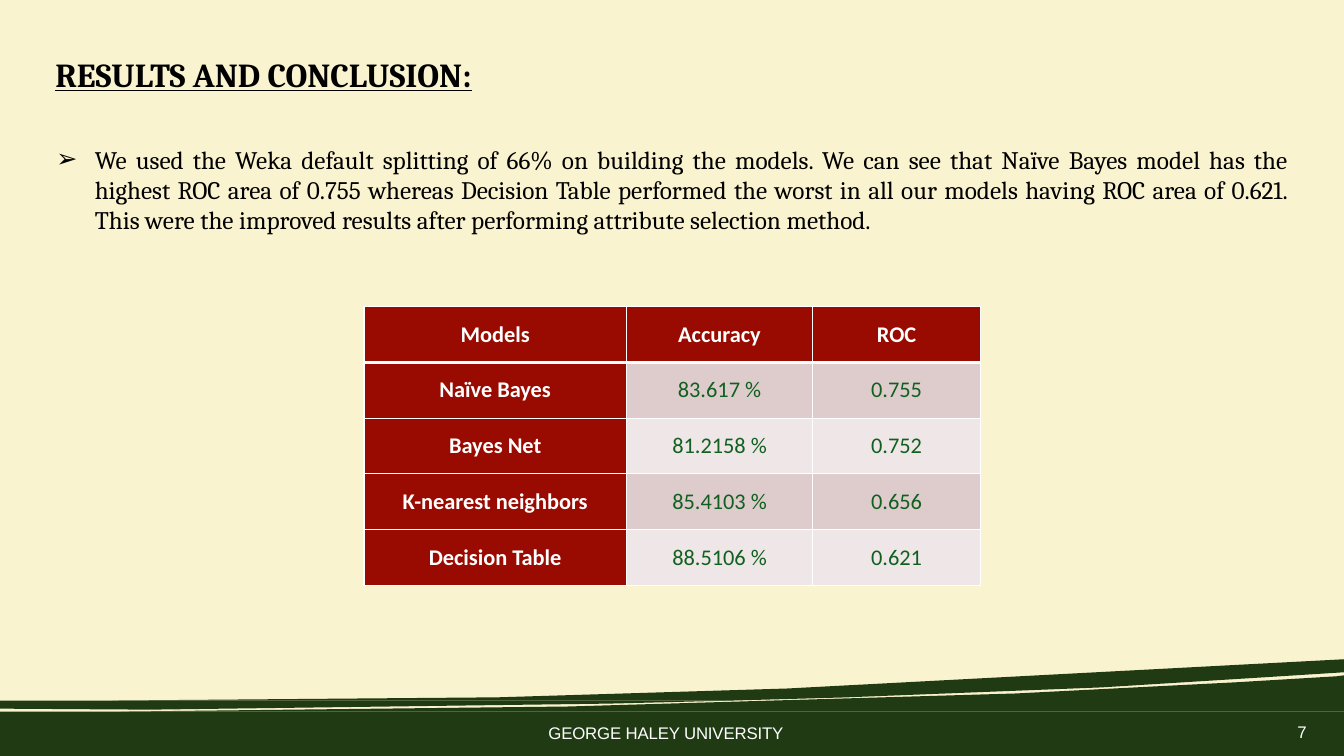
from dataclasses import dataclass, field

from lxml import etree
from pptx import Presentation
from pptx import util as u
from pptx.dml.color import RGBColor
from pptx.enum import text
from pptx.oxml import ns

CREAM = RGBColor(0xFA, 0xF3, 0xCF)
FOREST = RGBColor(0x20, 0x3B, 0x13)
GREEN = RGBColor(0x11, 0x60, 0x20)
RED = RGBColor(0x99, 0x0B, 0x01)
ROSE = RGBColor(0xDE, 0xCC, 0xCC)
PALE_ROSE = RGBColor(0xEF, 0xE7, 0xE7)
BLACK = RGBColor(0, 0, 0)
WHITE = RGBColor(0xFF, 0xFF, 0xFF)

PAGE_WIDTH, PAGE_HEIGHT = 960, 540
CENTER, JUSTIFY = text.PP_ALIGN.CENTER, text.PP_ALIGN.JUSTIFY


@dataclass
class TextItem:
    words: str
    left: float
    top: float
    width: float
    height: float
    font: dict
    para: dict = field(default_factory=dict)
    frame: dict = field(default_factory=dict)
    bullet: str = ""
    spacing: int = 0  # letter spacing, hundredths of a point


# Wave outlines at the foot of the page
WAVES = [
    [(0, 508.3), (0, 540), (960, 540), (960, 508.3), (86.4, 508.3)],
    [(960, 482.4), (954.7, 483.1), (882.7, 487.4), (725, 495.4),
     (405.4, 504.7), (86.4, 508.3), (960, 508.3)],
    [(0, 500.4), (0, 506.2), (107.3, 506.9), (434.9, 502.6),
     (522.7, 500.4), (79.9, 500.4)],
    [(960, 470.9), (562.3, 491.8), (352.1, 498.2), (343.4, 498.2),
     (79.9, 500.4), (522.7, 500.4), (602.6, 498.2), (787, 491),
     (902.9, 483.8), (960, 480.2)],
]

FOOTER_FONT = {"name": "Arial", "size": u.Pt(12)}
FOOTER_PARA = {"line_spacing": u.Pt(13)}

TEXTS = [
    TextItem("GEORGE HALEY UNIVERSITY", 391, 517.7, 177.8, 13,
             FOOTER_FONT | {"color": WHITE}, FOOTER_PARA,
             {"margin_left": u.Pt(0.7)}, spacing=-10),
    TextItem("RESULTS AND CONCLUSION:", 39.6, 38.2, 719.3, 52.6,
             {"name": "Cambria", "size": u.Pt(24), "bold": True,
              "underline": True, "color": BLACK}),
    TextItem("We used the Weka default splitting of 66% on building the models. "
             "We can see that Naïve Bayes model has the highest ROC area of 0.755 "
             "whereas Decision Table performed the worst in all our models having "
             "ROC area of 0.621. This were the improved results after performing "
             "attribute selection method.", 40.3, 58.3, 879.8, 443.5,
             {"name": "Cambria", "size": u.Pt(18), "color": BLACK},
             {"alignment": JUSTIFY}, {"margin_top": u.Pt(44.5)}, bullet="➢"),
    TextItem("7", 924.5, 517, 23, 13,
             FOOTER_FONT | {"color": WHITE}, FOOTER_PARA,
             {"margin_left": u.Pt(2.2), "word_wrap": False}, spacing=-10),
]

# Results table
RESULTS = [
    ("Models", "Accuracy", "ROC"),
    ("Naïve Bayes", "83.617 %", "0.755"),
    ("Bayes Net", "81.2158 %", "0.752"),
    ("K-nearest neighbors", "85.4103 %", "0.656"),
    ("Decision Table", "88.5106 %", "0.621"),
]
TABLE_LEFT, TABLE_TOP, ROW_HEIGHT = 260, 219, 39.85
COLUMN_WIDTHS = (187.5, 133, 120)


def apply(target, values: dict) -> None:
    for name, value in values.items():
        if name == "color":
            target.color.rgb = value
        else:
            setattr(target, name, value)


def draw_wave(page, points: list) -> None:
    builder = page.shapes.build_freeform(
        u.Pt(points[0][0]), u.Pt(points[0][1]), scale=1.0)
    builder.add_line_segments([(u.Pt(x), u.Pt(y)) for x, y in points[1:]], close=True)
    wave = builder.convert_to_shape()
    wave.shadow.inherit = False
    wave.fill.solid()
    wave.fill.fore_color.rgb = FOREST
    wave.line.fill.background()


def add_bullet(para, mark: str, indent: float) -> None:
    props = para._p.get_or_add_pPr()
    props.set("marL", str(u.Pt(indent)))
    props.set("indent", str(-u.Pt(indent)))
    etree.SubElement(props, ns.qn("a:buFont")).set("typeface", "Arial")
    etree.SubElement(props, ns.qn("a:buChar")).set("char", mark)


def draw_text(page, item: TextItem) -> None:
    box = page.shapes.add_textbox(
        *(u.Pt(n) for n in (item.left, item.top, item.width, item.height)))
    frame = box.text_frame
    insets = {f"margin_{side}": 0 for side in ("left", "top", "right", "bottom")}
    apply(frame, insets | {"word_wrap": True} | item.frame)
    para = frame.paragraphs[0]
    apply(para, item.para)
    if item.bullet:
        add_bullet(para, item.bullet, 27.4)
    span = para.add_run()
    span.text = item.words
    apply(span.font, item.font)
    if item.spacing:
        span._r.get_or_add_rPr().set("spc", str(item.spacing))


def add_border(cell, side: str, width: float) -> None:
    line = etree.SubElement(cell._tc.get_or_add_tcPr(), ns.qn(f"a:ln{side}"))
    line.set("w", str(u.Pt(width)))
    fill = etree.SubElement(line, ns.qn("a:solidFill"))
    etree.SubElement(fill, ns.qn("a:srgbClr")).set("val", str(WHITE))


def draw_cell(cell, words: str, row: int, column: int) -> None:
    heading = row == 0 or column == 0
    apply(cell, {"margin_left": u.Pt(5), "margin_right": u.Pt(5),
                 "margin_top": 0, "margin_bottom": 0,
                 "vertical_anchor": text.MSO_ANCHOR.MIDDLE})
    # The rule under the header row is heavier
    add_border(cell, "L", 1)
    add_border(cell, "R", 1)
    add_border(cell, "T", 3 if row == 1 else 1)
    add_border(cell, "B", 3 if row == 0 else 1)
    cell.fill.solid()
    cell.fill.fore_color.rgb = RED if heading else ROSE if row % 2 else PALE_ROSE
    para = cell.text_frame.paragraphs[0]
    apply(para, {"alignment": CENTER, "space_before": u.Pt(0.3)})
    span = para.add_run()
    span.text = words
    apply(span.font, {"name": "Calibri", "size": u.Pt(16), "bold": heading,
                      "color": WHITE if heading else GREEN})


def draw_table(page) -> None:
    table = page.shapes.add_table(
        len(RESULTS), len(COLUMN_WIDTHS), u.Pt(TABLE_LEFT), u.Pt(TABLE_TOP),
        u.Pt(sum(COLUMN_WIDTHS)), u.Pt(ROW_HEIGHT * len(RESULTS))).table
    apply(table, {"horz_banding": False, "first_row": False})
    for column, width in zip(table.columns, COLUMN_WIDTHS):
        column.width = u.Pt(width)
    for r, record in enumerate(RESULTS):
        table.rows[r].height = u.Pt(ROW_HEIGHT)
        for c, words in enumerate(record):
            draw_cell(table.cell(r, c), words, r, c)


def main() -> None:
    deck = Presentation()
    apply(deck, {"slide_width": u.Pt(PAGE_WIDTH), "slide_height": u.Pt(PAGE_HEIGHT)})
    page = deck.slides.add_slide(deck.slide_layouts[6])
    page.background.fill.solid()
    page.background.fill.fore_color.rgb = CREAM
    for points in WAVES:
        draw_wave(page, points)
    for item in TEXTS:
        draw_text(page, item)
    draw_table(page)
    deck.save("out.pptx")


if __name__ == "__main__":
    main()
